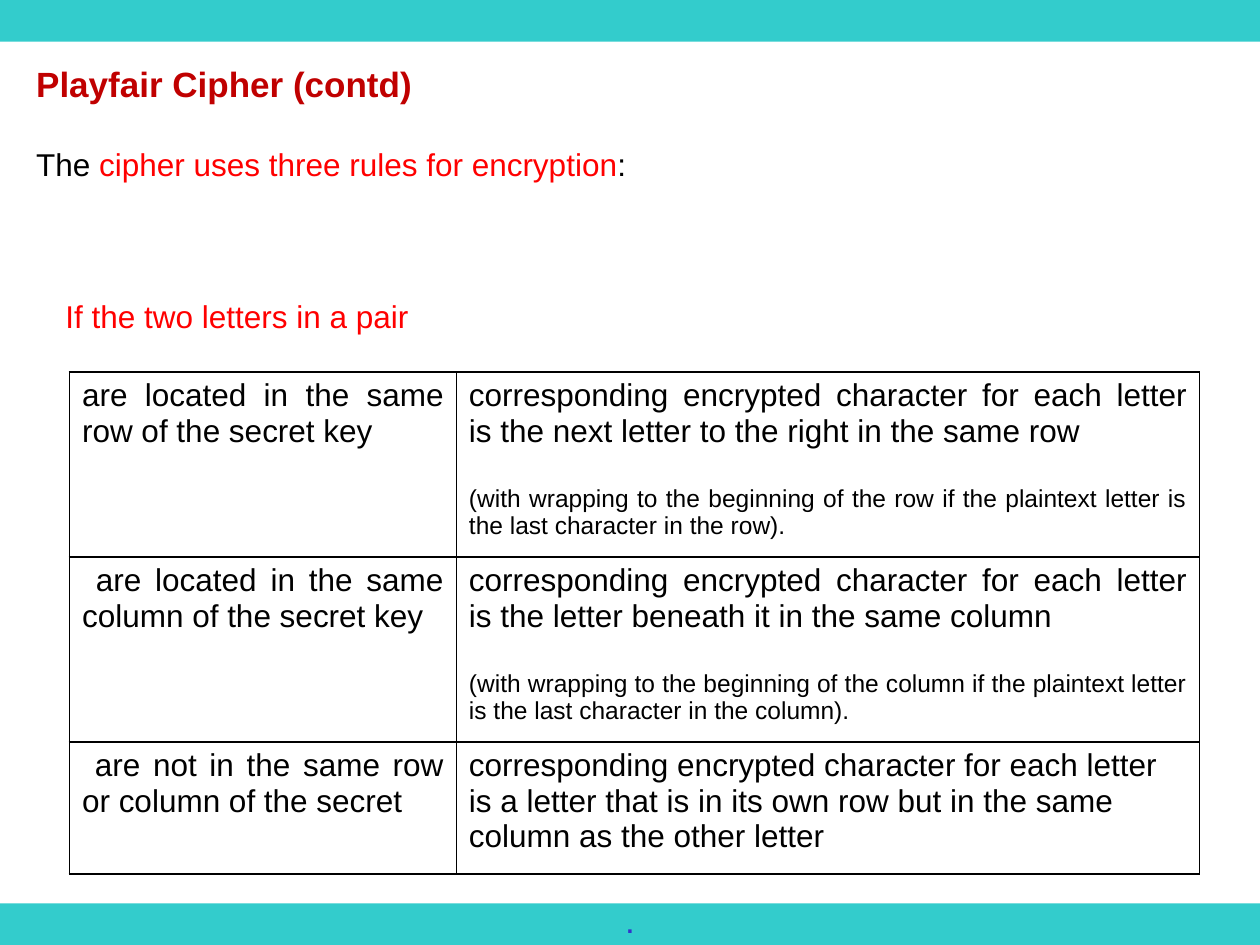
import pptx
import pptx.dml.color
import pptx.enum.shapes
import pptx.enum.text
import pptx.oxml
import pptx.oxml.ns
import pptx.util
from pptx.util import Cm, Pt

RGBColor = pptx.dml.color.RGBColor
ALIGN = pptx.enum.text.PP_ALIGN
ANCHOR = pptx.enum.text.MSO_ANCHOR

TEAL = RGBColor(0x33, 0xCC, 0xCC)
BLUE = RGBColor(0x33, 0x33, 0xCC)
DARK_RED = RGBColor(0xC0, 0x00, 0x00)
RED = RGBColor(0xFF, 0x00, 0x00)
BLACK = RGBColor(0x00, 0x00, 0x00)

RULES = [
    ("are located in the same row of the secret key",
     "corresponding encrypted character for each letter is the next letter "
     "to the right in the same row",
     "(with wrapping to the beginning of the row if the plaintext letter "
     "is the last character in the row)."),
    (" are located in the same column of the secret key",
     "corresponding encrypted character for each letter is the letter "
     "beneath it in the same column",
     "(with wrapping to the beginning of the column if the plaintext letter "
     "is the last character in the column)."),
    (" are not in the same row or column of the secret",
     "corresponding encrypted character for each letter is a letter that is "
     "in its own row but in the same column as the other letter",
     None),
]


class Deck:
    font = "Arial"

    def __init__(self, prs):
        self.slide = prs.slides.add_slide(prs.slide_layouts[6])

    def paragraph(self, tf, runs, size, align=ALIGN.LEFT, bold=False,
                  before=0, first=False):
        p = tf.paragraphs[0] if first else tf.add_paragraph()
        p.alignment = align
        if before:
            p.space_before = Pt(before)
        p.font.name = self.font
        p.font.size = Pt(size)
        p.font.bold = bold
        for text, color in runs:
            r = p.add_run()
            r.text = text
            r.font.color.rgb = color

    def bar(self, top, width, height):
        sp = self.slide.shapes.add_shape(
            pptx.enum.shapes.MSO_SHAPE.RECTANGLE, 0, top, width, height)
        sp.shadow.inherit = False
        sp.fill.solid()
        sp.fill.fore_color.rgb = TEAL
        sp.line.fill.background()
        sp.text_frame.vertical_anchor = ANCHOR.MIDDLE
        return sp.text_frame

    def text_box(self, left, top, width, height):
        tf = self.slide.shapes.add_textbox(left, top, width, height).text_frame
        tf.word_wrap = True
        return tf

    def border(self, cell):
        tcPr = cell._tc.get_or_add_tcPr()
        for i, side in enumerate(("lnL", "lnR", "lnT", "lnB")):
            tcPr.insert(i, pptx.oxml.parse_xml(
                f'<a:{side} {pptx.oxml.ns.nsdecls("a")} w="{Pt(1)}">'
                f'<a:solidFill><a:srgbClr val="{BLACK}"/></a:solidFill>'
                f'</a:{side}>'))

    def table(self, left, top, widths, heights):
        table = self.slide.shapes.add_table(
            len(heights), len(widths), left, top,
            sum(widths), sum(heights)).table
        table.first_row = table.horz_banding = False
        for column, width in zip(table.columns, widths):
            column.width = width
        for row, height in zip(table.rows, heights):
            row.height = height
        for cell in table.iter_cells():
            cell.fill.background()
            self.border(cell)
        return table


def main():
    prs = pptx.Presentation()
    prs.slide_width, prs.slide_height = Cm(25.4), Cm(19.05)
    deck = Deck(prs)

    bar_height = Cm(0.84)
    footer = deck.bar(prs.slide_height - bar_height, prs.slide_width, bar_height)
    deck.paragraph(footer, [(".", BLUE)], 14, ALIGN.CENTER, bold=True, first=True)
    deck.bar(0, prs.slide_width, bar_height)

    heading = deck.text_box(Cm(0.48), Cm(1.14), Cm(23.67), Cm(2.74))
    deck.paragraph(heading, [("Playfair Cipher (contd)", DARK_RED)], 20,
                   ALIGN.JUSTIFY, bold=True, first=True)
    deck.paragraph(heading, [("The ", BLACK),
                             ("cipher uses three rules for encryption", RED),
                             (":", BLACK)], 18, ALIGN.JUSTIFY, before=23)

    table = deck.table(Cm(1.4), Cm(7.5), [Cm(7.8), Cm(14.98)],
                       [Cm(3.73), Cm(3.73), Cm(2.66)])
    for i, (case, rule, note) in enumerate(RULES):
        deck.paragraph(table.cell(i, 0).text_frame, [(case, BLACK)], 18,
                       ALIGN.JUSTIFY, first=True)
        tf = table.cell(i, 1).text_frame
        deck.paragraph(tf, [(rule, BLACK)], 18,
                       ALIGN.JUSTIFY if note else ALIGN.LEFT, first=True)
        if note:
            deck.paragraph(tf, [(note, BLACK)], 14, ALIGN.JUSTIFY, before=20.5)

    condition = deck.text_box(Cm(1.07), Cm(5.87), Cm(12.7), Cm(1.02))
    deck.paragraph(condition, [("If the two letters in a pair", RED)], 18,
                   first=True)

    prs.save("out.pptx")


if __name__ == "__main__":
    main()
